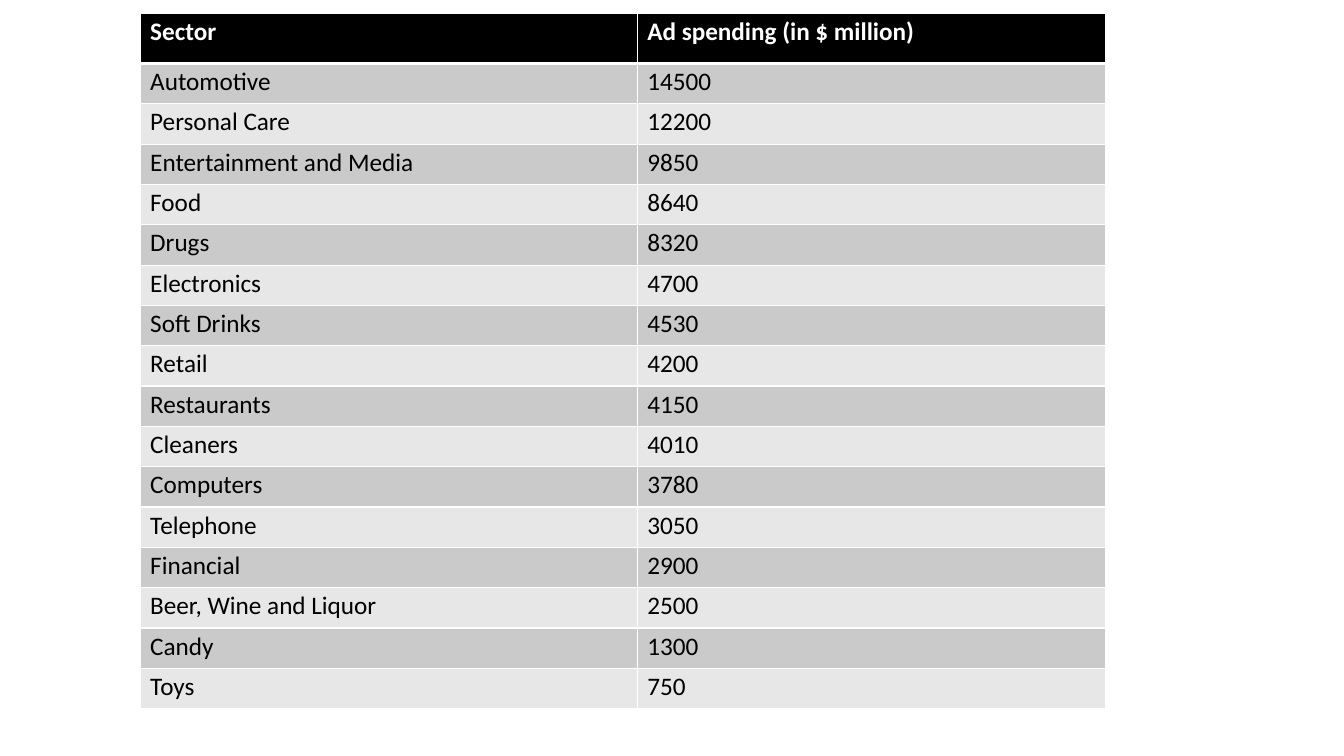
from lxml import etree
from pptx import Presentation
from pptx.dml.color import RGBColor
from pptx.oxml import ns
from pptx.util import Inches, Pt


def paint(fill, color):
    fill.solid()
    fill.fore_color.rgb = RGBColor.from_string(color)


def edge(cell, side, width):
    line = etree.SubElement(cell._tc.get_or_add_tcPr(), ns.qn("a:ln" + side), w=str(Pt(width)))
    solid = etree.SubElement(line, ns.qn("a:solidFill"))
    etree.SubElement(solid, ns.qn("a:srgbClr"), val="FFFFFF")


rows = [
    ("Sector", "Ad spending (in $ million)"),
    ("Automotive", "14500"),
    ("Personal Care", "12200"),
    ("Entertainment and Media", "9850"),
    ("Food", "8640"),
    ("Drugs", "8320"),
    ("Electronics", "4700"),
    ("Soft Drinks", "4530"),
    ("Retail", "4200"),
    ("Restaurants", "4150"),
    ("Cleaners", "4010"),
    ("Computers", "3780"),
    ("Telephone", "3050"),
    ("Financial", "2900"),
    ("Beer, Wine and Liquor", "2500"),
    ("Candy", "1300"),
    ("Toys", "750"),
]
last = len(rows) - 1

deck = Presentation()
deck.slide_width = Inches(13.33)
deck.slide_height = Inches(7.5)
slide = deck.slides.add_slide(deck.slide_layouts[6])

frame = slide.shapes.add_table(
    len(rows), 2, Inches(1.39), Inches(0.13), Inches(9.57), Inches(6.9))
table = frame.table
table.columns[0].width = Inches(4.93)
table.columns[1].width = Inches(4.64)

for r, row in enumerate(rows):
    head = r == 0
    table.rows[r].height = Inches(0.5 if head else 0.4)
    for c, value in enumerate(row):
        cell = table.cell(r, c)
        cell.margin_left = Inches(0.1)
        cell.margin_top = Inches(0.03)
        cell.margin_right = cell.margin_bottom = 0
        edge(cell, "L", 0.5 if c == 0 else 1)
        edge(cell, "R", 1 if c == 0 else 0.5)
        edge(cell, "T", 0.5 if head else 3 if r == 1 else 1)
        edge(cell, "B", 3 if head else 0.5 if r == last else 1)
        paint(cell.fill, "000000" if head else "CACACA" if r % 2 else "E7E7E7")
        cell.text = value
        font = cell.text_frame.paragraphs[0].font
        font.name = "Calibri"
        font.size = Pt(18)
        font.bold = head
        paint(font.fill, "FFFFFF" if head else "000000")

deck.save("out.pptx")
